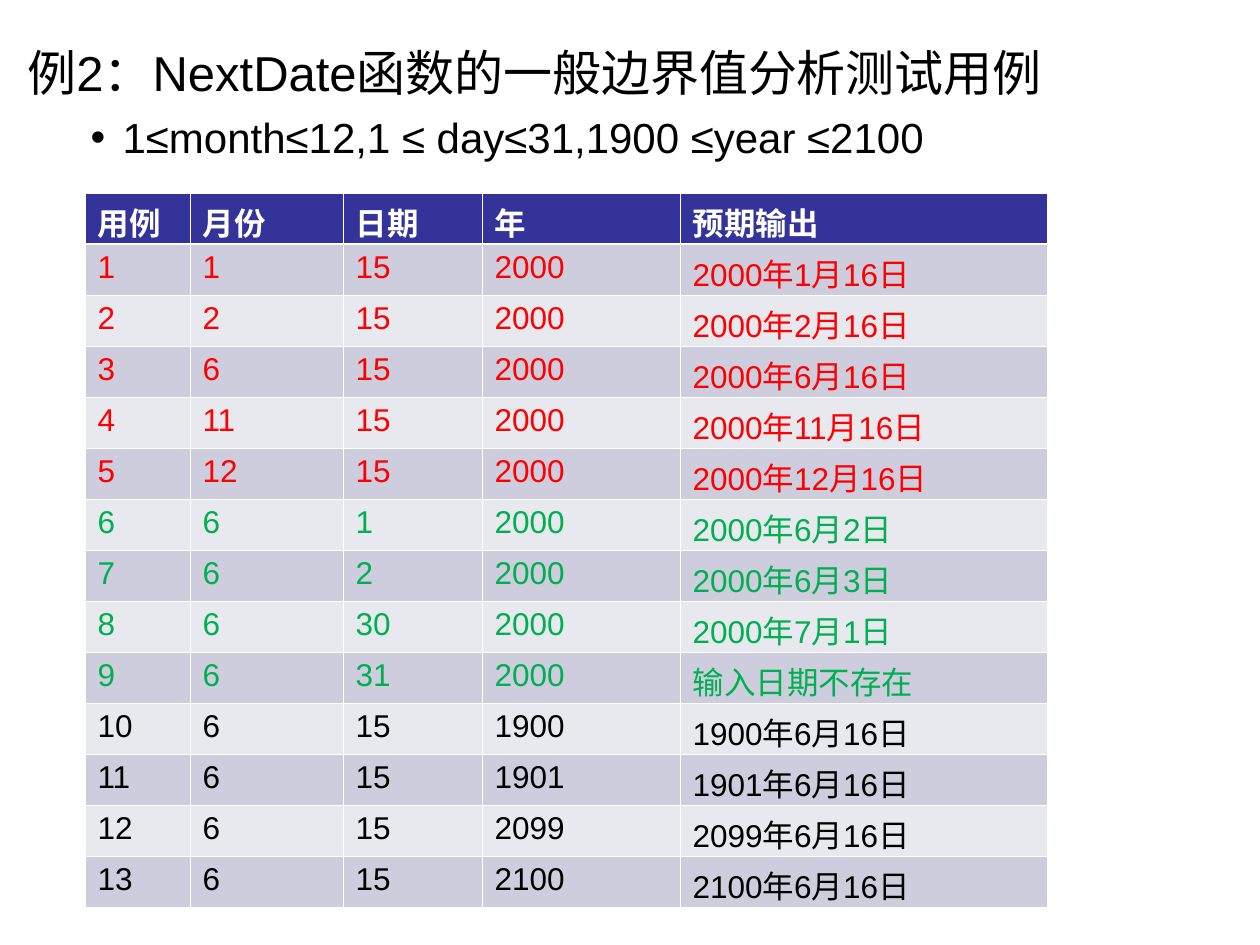
"""Build the NextDate boundary value test case slide."""
from lxml.etree import SubElement
from pptx import Presentation
from pptx.dml.color import RGBColor
from pptx.enum.text import MSO_ANCHOR, MSO_AUTO_SIZE, PP_ALIGN
from pptx.oxml.ns import qn
from pptx.util import Pt

PX = 914400 / 126
COLORS = {
    "black": "000000",
    "white": "FFFFFF",
    "red": "FF0000",
    "green": "00B050",
    "header": "333399",
    "odd": "CDCDDE",
    "even": "E8E8EF",
}
HEADINGS = ("用例", "月份", "日期", "年", "预期输出")
COLUMN_WIDTHS = (105, 153, 139, 198, 367)
ROW_HEIGHT = 51
CASES = {
    "red": (
        (1, 15, 2000, "2000年1月16日"),
        (2, 15, 2000, "2000年2月16日"),
        (6, 15, 2000, "2000年6月16日"),
        (11, 15, 2000, "2000年11月16日"),
        (12, 15, 2000, "2000年12月16日"),
    ),
    "green": (
        (6, 1, 2000, "2000年6月2日"),
        (6, 2, 2000, "2000年6月3日"),
        (6, 30, 2000, "2000年7月1日"),
        (6, 31, 2000, "输入日期不存在"),
    ),
    "black": (
        (6, 15, 1900, "1900年6月16日"),
        (6, 15, 1901, "1901年6月16日"),
        (6, 15, 2099, "2099年6月16日"),
        (6, 15, 2100, "2100年6月16日"),
    ),
}


def emu(pixels):
    return round(pixels * PX)


def assign(target, values):
    for name, value in values.items():
        setattr(target, name, value)


class SlideBuilder:
    """Hold the text style and the current slide."""

    def __init__(self, slide, font="Arial"):
        self.slide = slide
        self.font = font

    def add_span(self, para, text, size, color, bold=False):
        span = para.add_run()
        span.text = text
        assign(span.font, {"name": self.font, "size": Pt(size), "bold": bold})
        span.font.color.rgb = RGBColor.from_string(COLORS[color])

    def indent(self, para, margin, first_line):
        properties = para._p.get_or_add_pPr()
        properties.set("marL", str(emu(margin)))
        properties.set("indent", str(emu(first_line)))
        return properties

    def title(self, heading, condition, left, top, width, height):
        box = self.slide.shapes.title
        assign(box, {"left": emu(left), "top": emu(top),
                     "width": emu(width), "height": emu(height)})
        frame = box.text_frame
        assign(frame, {"word_wrap": True, "vertical_anchor": MSO_ANCHOR.MIDDLE,
                       "auto_size": MSO_AUTO_SIZE.SHAPE_TO_FIT_TEXT})
        para = frame.paragraphs[0]
        assign(para, {"alignment": PP_ALIGN.LEFT, "space_before": Pt(7)})
        self.indent(para, 39, -39)
        self.add_span(para, heading, 28, "black")

        para = frame.add_paragraph()
        assign(para, {"alignment": PP_ALIGN.LEFT, "space_before": Pt(6), "level": 1})
        properties = self.indent(para, 95, -32)
        bullet_color = SubElement(properties, qn("a:buClr"))
        SubElement(bullet_color, qn("a:srgbClr"), val=COLORS["black"])
        SubElement(properties, qn("a:buFont"), typeface=self.font)
        SubElement(properties, qn("a:buChar"), char="•")
        self.add_span(para, condition, 24, "black")

    def cell(self, cell, text, color, fill, bold, borders):
        properties = cell._tc.get_or_add_tcPr()
        for side, points in borders.items():
            line = SubElement(properties, qn(f"a:ln{side}"), w=str(int(Pt(points))))
            solid = SubElement(line, qn("a:solidFill"))
            SubElement(solid, qn("a:srgbClr"), val=COLORS["white"])
        cell.fill.solid()
        cell.fill.fore_color.rgb = RGBColor.from_string(COLORS[fill])
        self.add_span(cell.text_frame.paragraphs[0], text, 18, color, bold)

    def table(self, rows, left, top):
        table = self.slide.shapes.add_table(
            len(rows), len(COLUMN_WIDTHS), emu(left), emu(top),
            emu(sum(COLUMN_WIDTHS)), emu(ROW_HEIGHT * len(rows))).table
        for column, width in zip(table.columns, COLUMN_WIDTHS):
            column.width = emu(width)
        for number, (color, values) in enumerate(rows):
            table.rows[number].height = emu(ROW_HEIGHT)
            is_header = number == 0
            fill = "header" if is_header else ("even", "odd")[number % 2]
            borders = {"L": 0.45, "R": 0.45,
                       "T": 1.47 if number == 1 else 0.45,
                       "B": 1.47 if is_header else 0.45}
            for column, value in enumerate(values):
                self.cell(table.cell(number, column), str(value), color,
                          fill, is_header, borders)


def main():
    deck = Presentation()
    assign(deck, {"slide_width": emu(1260), "slide_height": emu(945)})
    page = SlideBuilder(deck.slides.add_slide(deck.slide_layouts[5]))
    page.title("例2：NextDate函数的一般边界值分析测试用例",
               "1≤month≤12,1 ≤ day≤31,1900 ≤year ≤2100", 15, 6, 1072, 192)
    cases = [(color, case) for color, group in CASES.items() for case in group]
    rows = [("white", HEADINGS)]
    rows += [(color, (number, *case)) for number, (color, case) in enumerate(cases, 1)]
    page.table(rows, 85, 193)
    deck.save("out.pptx")


if __name__ == "__main__":
    main()
